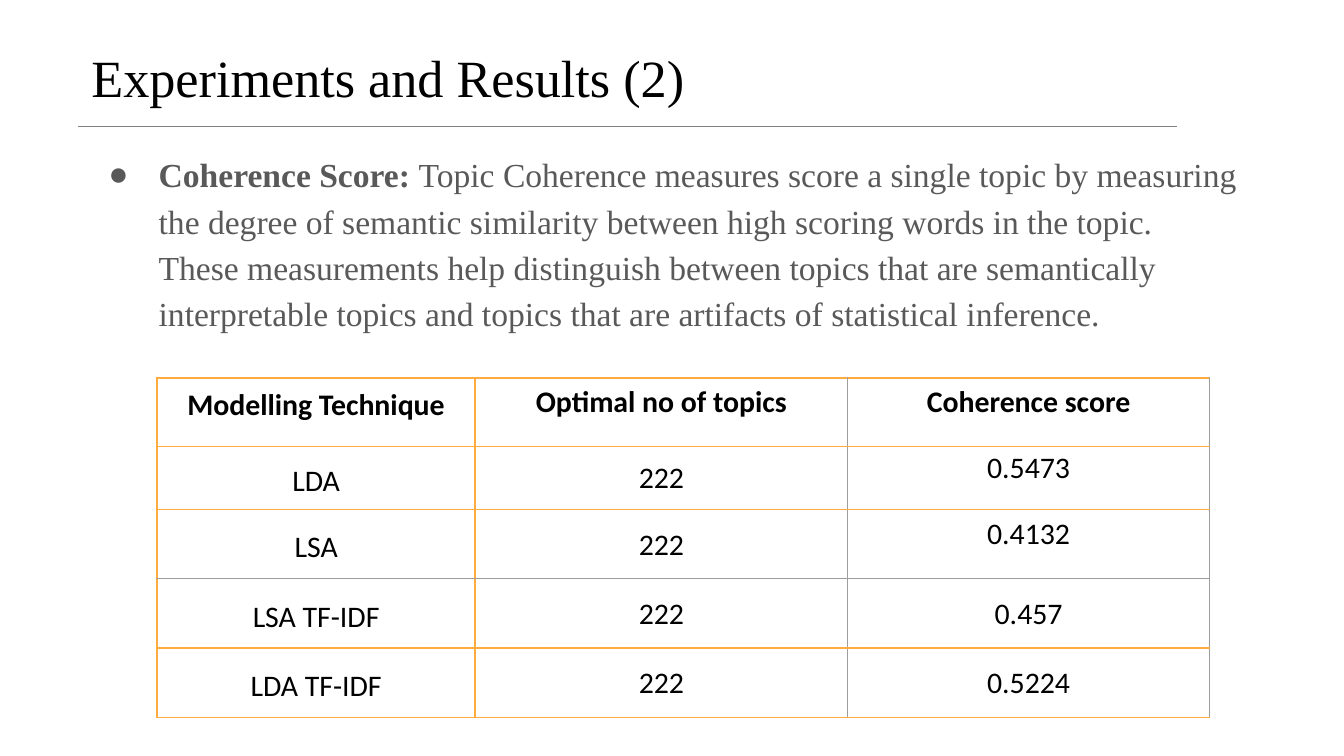
from lxml import etree
from pptx import Presentation
from pptx.dml.color import RGBColor
from pptx.enum.shapes import MSO_CONNECTOR
from pptx.enum.text import MSO_ANCHOR, PP_ALIGN
from pptx.oxml.ns import qn
from pptx.util import Cm, Pt

STRAIGHT = MSO_CONNECTOR.STRAIGHT
CENTER = PP_ALIGN.CENTER
MIDDLE = MSO_ANCHOR.MIDDLE

THEME = {
    "serif": "Times New Roman", "sans": "Calibri",
    "ink": "000000", "body": "595959", "rule": "808080",
    "accent": "FFAB40", "grey": "9E9E9E",
    "title_size": 28, "body_size": 18, "table_size": 16,
}


def add_run(paragraph, text, font, size, color, bold=False):
    run = paragraph.add_run()
    run.text = text
    run.font.name = THEME[font]
    run.font.size = Pt(THEME[size])
    run.font.color.rgb = RGBColor.from_string(THEME[color])
    run.font.bold = bold


def add_text_box(left, top, width, height):
    frame = slide.shapes.add_textbox(Cm(left), Cm(top), Cm(width), Cm(height)).text_frame
    frame.word_wrap = True
    frame.margin_left = frame.margin_right = Cm(0.25)
    frame.margin_top = frame.margin_bottom = Cm(0.25)
    return frame.paragraphs[0]


prs = Presentation()
prs.slide_width, prs.slide_height = Cm(25.4), Cm(14.29)
slide = prs.slides.add_slide(prs.slide_layouts[6])

title_rule = slide.shapes.add_connector(STRAIGHT, Cm(1.48), Cm(2.4), Cm(22.25), Cm(2.4))
title_rule.line.color.rgb = RGBColor.from_string(THEME["rule"])
title_rule.line.width = Pt(0.5)
etree.SubElement(title_rule.element.spPr, qn("a:effectLst"))

title = add_text_box(1.48, 0.6, 23.06, 1.6)
add_run(title, "Experiments and Results (2)", "serif", "title_size", "ink")

definition = add_text_box(1.48, 2.55, 22.23, 10.29)
definition.line_spacing = 1.15
bullet_props = definition._p.get_or_add_pPr()
bullet_props.set("marL", str(Cm(1.27)))
bullet_props.set("indent", str(Cm(-0.95)))
bullet_color = etree.SubElement(bullet_props, qn("a:buClr"))
etree.SubElement(bullet_color, qn("a:srgbClr"), val=THEME["body"])
etree.SubElement(bullet_props, qn("a:buFont"), typeface=THEME["serif"])
etree.SubElement(bullet_props, qn("a:buChar"), char="●")
add_run(definition, "Coherence Score:", "serif", "body_size", "body", True)
add_run(
    definition,
    "\u00a0Topic Coherence measures score a single topic by measuring the degree of "
    "semantic similarity between high scoring words in the topic. These measurements "
    "help distinguish between topics that are semantically interpretable topics and "
    "topics that are artifacts of statistical inference.",
    "serif", "body_size", "body",
)

SCORES = [
    ("Modelling Technique", "Optimal no of topics", "Coherence score"),
    ("LDA", "222", "0.5473"),
    ("LSA", "222", "0.4132"),
    ("LSA TF-IDF", "222", "0.457"),
    ("LDA TF-IDF", "222", "0.5224"),
]
COLUMN_WIDTHS = [6.01, 7.04, 6.84]
ROW_HEIGHTS = [1.3, 1.19, 1.31, 1.31, 1.31]
ROW_LINES = ["accent", "accent", "accent", "grey", "accent", "accent"]
COLUMN_LINES = ["accent", "accent", "grey", "grey"]
LINE_WIDTHS = {"accent": Pt(1), "grey": Pt(0.5)}
RAISED = {(0, 0), (0, 1), (0, 2), (1, 2), (2, 2)}

score_table = slide.shapes.add_table(
    len(SCORES), len(COLUMN_WIDTHS), Cm(2.97), Cm(7.14),
    Cm(sum(COLUMN_WIDTHS)), Cm(sum(ROW_HEIGHTS)),
).table
score_table.first_row = False
score_table.horz_banding = False
for column, width in zip(score_table.columns, COLUMN_WIDTHS):
    column.width = Cm(width)
for row, height in zip(score_table.rows, ROW_HEIGHTS):
    row.height = Cm(height)

for r, entries in enumerate(SCORES):
    for c, entry in enumerate(entries):
        cell = score_table.cell(r, c)
        cell.fill.background()
        cell.vertical_anchor = MIDDLE
        cell.margin_left = cell.margin_right = cell.margin_top = Cm(0.03)
        cell.margin_bottom = Cm(0.4) if (r, c) in RAISED else 0
        paragraph = cell.text_frame.paragraphs[0]
        paragraph.alignment = CENTER
        if c == 0:
            paragraph.line_spacing = 1.15
        add_run(paragraph, entry, "sans", "table_size", "ink", r == 0)
        edges = [("a:lnL", COLUMN_LINES[c]), ("a:lnR", COLUMN_LINES[c + 1]),
                 ("a:lnT", ROW_LINES[r]), ("a:lnB", ROW_LINES[r + 1])]
        cell_props = cell._tc.get_or_add_tcPr()
        for position, (tag, color) in enumerate(edges):
            edge = etree.Element(qn(tag), w=str(LINE_WIDTHS[color]))
            edge_fill = etree.SubElement(edge, qn("a:solidFill"))
            etree.SubElement(edge_fill, qn("a:srgbClr"), val=THEME[color])
            cell_props.insert(position, edge)

prs.save("out.pptx")
